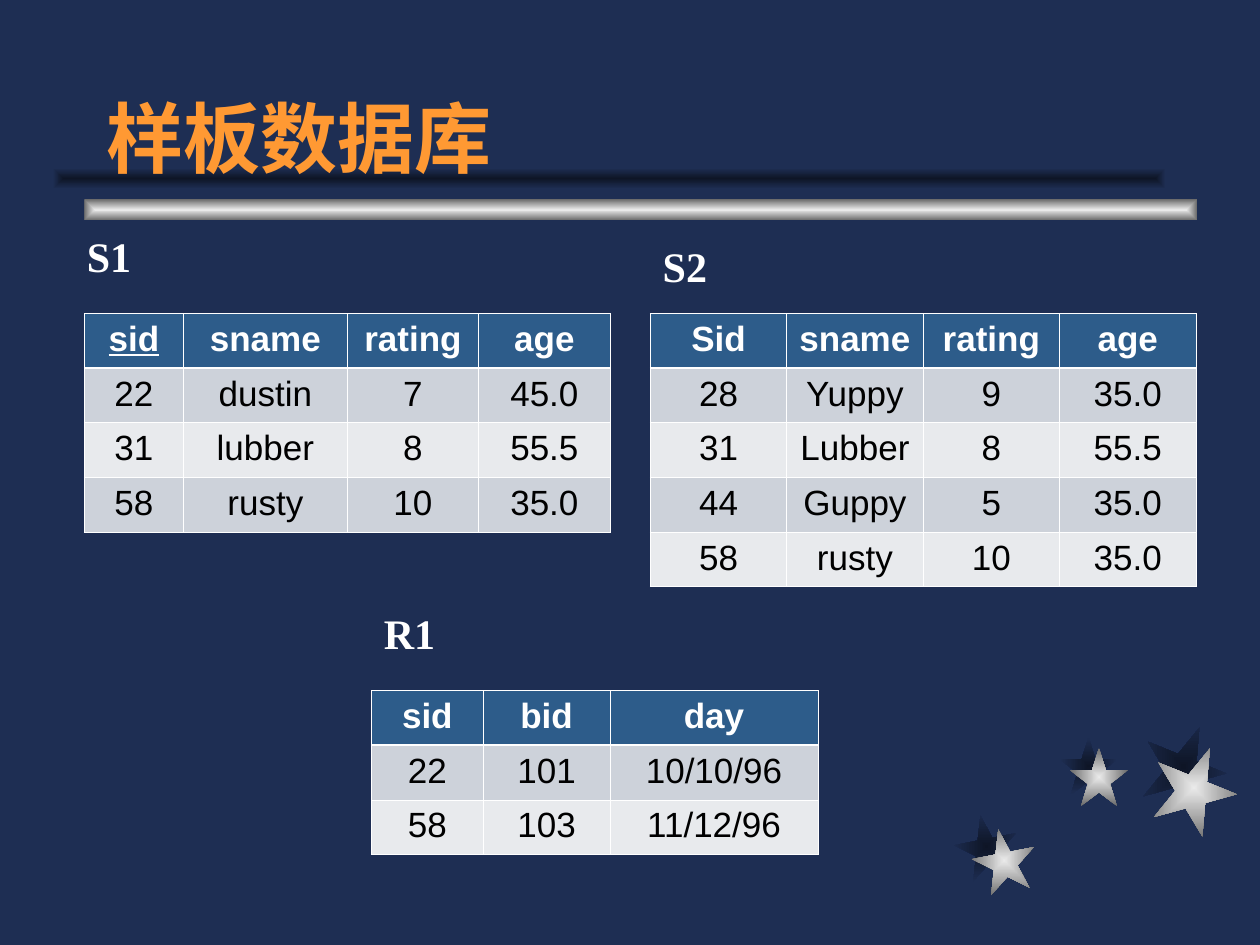
from pptx import Presentation
from pptx.dml.color import RGBColor
from pptx.enum.shapes import MSO_SHAPE
from pptx.enum.text import MSO_ANCHOR, MSO_AUTO_SIZE, PP_ALIGN
from pptx.oxml import parse_xml
from pptx.oxml.ns import nsdecls, qn
from pptx.util import Cm, Pt

# Content
HEADING = "样板数据库"
# label, label position, table position, column widths, underlined key, rows
RELATIONS = [
    ("S1", (1.5, 4.52), (1.7, 6.32), (2, 3.3, 2.65, 2.65), "sid", [
        ("sid", "sname", "rating", "age"),
        ("22", "dustin", "7", "45.0"),
        ("31", "lubber", "8", "55.5"),
        ("58", "rusty", "10", "35.0"),
    ]),
    ("S2", (13.11, 4.72), (13.11, 6.32), (2.75,) * 4, None, [
        ("Sid", "sname", "rating", "age"),
        ("28", "Yuppy", "9", "35.0"),
        ("31", "Lubber", "8", "55.5"),
        ("44", "Guppy", "5", "35.0"),
        ("58", "rusty", "10", "35.0"),
    ]),
    ("R1", (7.49, 12.12), (7.49, 13.92), (2.25, 2.56, 4.19), None, [
        ("sid", "bid", "day"),
        ("22", "101", "10/10/96"),
        ("58", "103", "11/12/96"),
    ]),
]
# size, rotation, shadow position, star position
STARS = [
    (1.27, 349, (19.25, 16.43), (19.61, 16.71)),
    (1.17, 0, (21.36, 14.86), (21.57, 15.08)),
    (1.7, 22, (23.01, 14.61), (23.22, 15.03)),
]
BAR_SIZE = (22.43, 0.42)
BAR, BAR_SHADOW = (1.7, 4.02), (1.07, 3.39)
ROW_HEIGHT = 1.1
THIN, THICK = 0.45, 1.47

COLORS = {
    "background": "1E2E53", "shadow": "0E1526",
    "silver": "EAEAEA", "steel": "6C6C6C",
    "heading": "FF9933", "white": "FFFFFF", "black": "000000",
    "header": "2D5C8A", "odd": "CDD2DA", "even": "E8EAED",
}


def rgb(name):
    return RGBColor.from_string(COLORS[name])


def add_run(paragraph, text, font, size, color, bold=True, underline=None):
    run = paragraph.add_run()
    run.text = text
    run.font.name = font
    run.font.size = Pt(size)
    run.font.color.rgb = rgb(color)
    run.font.bold = bold
    run.font.underline = underline


def add_ornament(shapes, preset, position, size, center, edge, rotation=0):
    """Add a borderless shape shaded from its center to its edge."""
    ornament = shapes.add_shape(preset, *map(Cm, position + size))
    ornament.rotation = rotation
    ornament.shadow.inherit = False
    ornament.line.fill.background()
    gradient = parse_xml(
        f'<a:gradFill {nsdecls("a")} rotWithShape="1"><a:gsLst>'
        f'<a:gs pos="0"><a:srgbClr val="{COLORS[center]}"/></a:gs>'
        f'<a:gs pos="100000"><a:srgbClr val="{COLORS[edge]}"/></a:gs></a:gsLst>'
        '<a:path path="rect"><a:fillToRect l="50000" t="50000" r="50000" b="50000"/>'
        '</a:path></a:gradFill>')
    ornament.element.spPr.find(qn("a:prstGeom")).addnext(gradient)


def set_borders(cell, top, bottom):
    properties = cell._tc.get_or_add_tcPr()
    for side, width in zip("LRTB", (THIN, THIN, top, bottom)):
        properties.append(parse_xml(
            f'<a:ln{side} {nsdecls("a")} w="{Pt(width)}"><a:solidFill>'
            f'<a:srgbClr val="{COLORS["white"]}"/></a:solidFill></a:ln{side}>'))


def add_relation(shapes, label, label_at, table_at, widths, key, rows):
    caption = shapes.add_textbox(*map(Cm, label_at + (1.8, 1.27))).text_frame
    caption.word_wrap = True
    caption.auto_size = MSO_AUTO_SIZE.SHAPE_TO_FIT_TEXT
    add_run(caption.paragraphs[0], label, "Times New Roman", 24, "white")

    size = (sum(widths), ROW_HEIGHT * len(rows))
    table = shapes.add_table(len(rows), len(widths), *map(Cm, table_at + size)).table
    for column, width in zip(table.columns, widths):
        column.width = Cm(width)
    for r, values in enumerate(rows):
        table.rows[r].height = Cm(ROW_HEIGHT)
        is_header = r == 0
        band = "header" if is_header else ("even", "odd")[r % 2]
        for c, value in enumerate(values):
            cell = table.cell(r, c)
            set_borders(cell, THICK if r == 1 else THIN, THICK if is_header else THIN)
            cell.fill.solid()
            cell.fill.fore_color.rgb = rgb(band)
            paragraph = cell.text_frame.paragraphs[0]
            paragraph.alignment = PP_ALIGN.CENTER
            add_run(paragraph, value, "Arial", 20, "white" if is_header else "black",
                    bold=is_header, underline=True if value == key else None)


def main():
    deck = Presentation()
    deck.slide_width, deck.slide_height = Cm(25.4), Cm(19.05)
    slide = deck.slides.add_slide(deck.slide_layouts[5])
    shapes = slide.shapes
    slide.background.fill.solid()
    slide.background.fill.fore_color.rgb = rgb("background")

    # Stars, all shadows behind
    for size, rotation, shadow_at, _ in STARS:
        add_ornament(shapes, MSO_SHAPE.STAR_5_POINT, shadow_at, (size, size),
                     "shadow", "background", rotation)
    for size, rotation, _, star_at in STARS:
        add_ornament(shapes, MSO_SHAPE.STAR_5_POINT, star_at, (size, size),
                     "silver", "steel", rotation)

    # Bar under the heading
    add_ornament(shapes, MSO_SHAPE.RECTANGLE, BAR, BAR_SIZE, "silver", "steel")
    add_ornament(shapes, MSO_SHAPE.RECTANGLE, BAR_SHADOW, BAR_SIZE, "shadow", "background")

    # Heading, in front of the bar shadow
    heading = shapes.title
    heading.element.getparent().append(heading.element)
    heading.left, heading.top, heading.width, heading.height = map(
        Cm, (1.9, 0.64, 21.6, 3.17))
    frame = heading.text_frame
    frame.auto_size = MSO_AUTO_SIZE.NONE
    frame.vertical_anchor = MSO_ANCHOR.BOTTOM
    frame.paragraphs[0].alignment = PP_ALIGN.LEFT
    add_run(frame.paragraphs[0], HEADING, "Arial", 44, "heading")

    # Relations with their labels
    for relation in RELATIONS:
        add_relation(shapes, *relation)

    deck.save("out.pptx")


if __name__ == "__main__":
    main()
